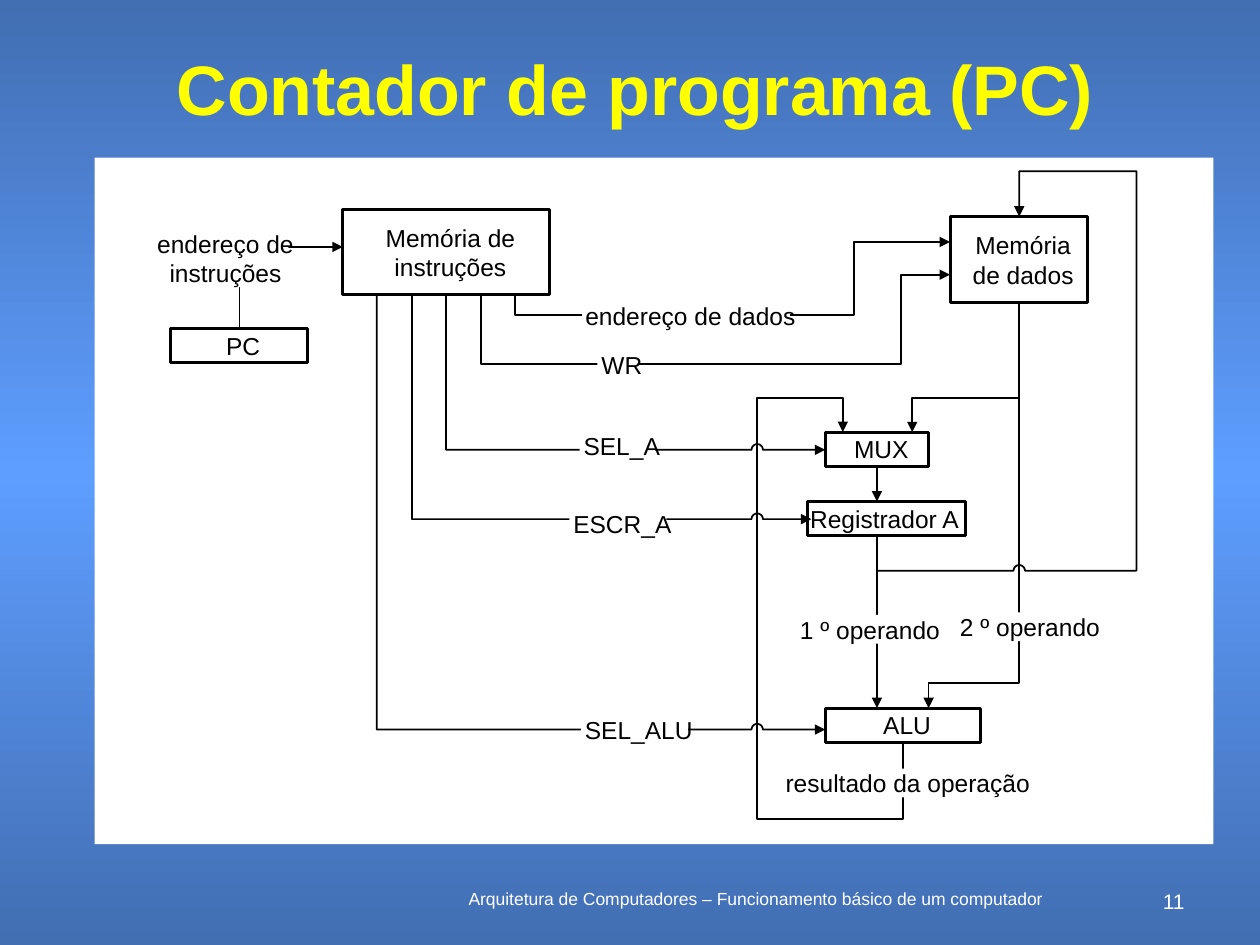
from copy import deepcopy
from math import cos, pi, sin

from pptx import Presentation
from pptx.dml.color import RGBColor
from pptx.enum.shapes import MSO_CONNECTOR, MSO_SHAPE
from pptx.enum.text import MSO_ANCHOR, PP_ALIGN
from pptx.oxml.ns import qn
from pptx.util import Inches, Pt
from lxml.etree import SubElement

COLORS = {"edge": "426EB2", "middle": "5E9EFF", "title": "FFFF00",
          "white": "FFFFFF", "black": "000000"}
RGB = {name: RGBColor.from_string(value) for name, value in COLORS.items()}


def write(shape, text, size=14, color="black", align=PP_ALIGN.CENTER,
          anchor=MSO_ANCHOR.MIDDLE, bold=False, wrap=False, spacing=None, margins=None):
    frame = shape.text_frame
    frame.text = text
    frame.word_wrap = wrap
    frame.vertical_anchor = anchor
    if margins:
        (frame.margin_left, frame.margin_top,
         frame.margin_right, frame.margin_bottom) = map(Inches, margins)
    for para in frame.paragraphs:
        para.alignment = align
        para.line_spacing = spacing
        para.font.name = "Arial"
        para.font.size = Pt(size)
        para.font.bold = bold
        para.font.color.rgb = RGB[color]


def hop(x, y, radius=0.045, steps=12):
    """Points of a half circle that carries a wire over a vertical one."""
    angles = [pi * (1 - step / steps) for step in range(steps + 1)]
    return [(x + radius * cos(angle), y - radius * sin(angle)) for angle in angles]


deck = Presentation()
deck.slide_width, deck.slide_height = Inches(10), Inches(7.5)
slide = deck.slides.add_slide(deck.slide_layouts[5])
shapes = slide.shapes

# Background
backdrop = slide.background.fill
backdrop.gradient()
backdrop.gradient_angle = 270
stop_list = slide.element.find(".//" + qn("a:gsLst"))
stop_list.append(deepcopy(stop_list[0]))
for stop, position, name in zip(backdrop.gradient_stops, (0, 0.5, 1),
                                ("edge", "middle", "edge")):
    stop.position = position
    stop.color.rgb = RGB[name]

# Title, footer and page number
title = shapes.title
title.left, title.top = Inches(0.75), Inches(0.42)
title.width, title.height = Inches(8.58), Inches(0.67)
write(title, "Contador de programa (PC)", size=40, color="title",
      bold=True, wrap=True, spacing=0.8)

footer = shapes.add_textbox(Inches(3.33), Inches(7), Inches(5.33), Inches(0.25))
write(footer, "Arquitetura de Computadores – Funcionamento básico de um computador",
      size=10, color="white", anchor=MSO_ANCHOR.TOP, wrap=True)
number = shapes.add_textbox(Inches(9.08), Inches(7), Inches(0.42), Inches(0.17))
write(number, "11", size=12, color="white", align=PP_ALIGN.RIGHT,
      anchor=MSO_ANCHOR.TOP, wrap=True)

# Diagram panel
panel = shapes.add_shape(MSO_SHAPE.RECTANGLE, Inches(0.75), Inches(1.25),
                         Inches(8.88), Inches(5.45))
panel.shadow.inherit = False
panel.fill.solid()
panel.fill.fore_color.rgb = RGB["white"]
panel.line.fill.background()

# Components: text, left, top, width, height, left margin, right margin
components = [
    ("Memória de\vinstruções", 2.72, 1.66, 1.64, 0.68, 0.07, 0),
    ("Memória\vde dados", 7.54, 1.72, 1.09, 0.68, 0.07, 0),
    ("PC", 1.35, 2.61, 1.09, 0.27, 0.07, 0),
    ("MUX", 6.55, 3.43, 0.82, 0.27, 0.07, 0),
    ("Registrador A", 6.41, 3.98, 1.25, 0.27, 0, 0.03),
    ("ALU", 6.55, 5.62, 1.23, 0.27, 0.07, 0),
]
for text, left, top, width, height, margin_left, margin_right in components:
    box = shapes.add_shape(MSO_SHAPE.RECTANGLE, Inches(left), Inches(top),
                           Inches(width), Inches(height))
    box.shadow.inherit = False
    box.fill.solid()
    box.fill.fore_color.rgb = RGB["white"]
    box.line.color.rgb = RGB["black"]
    box.line.width = Pt(1.75)
    write(box, text, margins=(margin_left, 0, margin_right, 0))

# Wires, each ending in an arrowhead
feedback_x, data_x, accumulator_x = 6.01, 8.09, 6.96
wires = [
    [(1.9, 2.61), (1.9, 1.96), (2.72, 1.96)],
    [(4.09, 2.34), (4.09, 2.5), (6.78, 2.5), (6.78, 1.92), (7.54, 1.92)],
    [(3.82, 2.34), (3.82, 2.89), (7.15, 2.89), (7.15, 2.18), (7.54, 2.18)],
    [(3.54, 2.34), (3.54, 3.57), *hop(feedback_x, 3.57), (6.55, 3.57)],
    [(3.27, 2.34), (3.27, 4.12), *hop(feedback_x, 4.12), (6.44, 4.12)],
    [(2.99, 2.34), (2.99, 5.79), *hop(feedback_x, 5.79), (6.55, 5.79)],
    [(7.17, 5.9), (7.17, 6.5), (feedback_x, 6.5), (feedback_x, 3.16),
     (6.69, 3.16), (6.69, 3.43)],
    [(data_x, 2.41), (data_x, 3.16), (7.24, 3.16), (7.24, 3.43)],
    [(data_x, 2.41), (data_x, 5.42), (7.37, 5.42), (7.37, 5.62)],
    [(accumulator_x, 3.71), (accumulator_x, 3.98)],
    [(accumulator_x, 4.26), (accumulator_x, 5.62)],
    [(accumulator_x, 4.26), (accumulator_x, 4.53), *hop(data_x, 4.53),
     (9.02, 4.53), (9.02, 1.36), (data_x, 1.36), (data_x, 1.72)],
]
for points in wires:
    start, *rest = [(Inches(x), Inches(y)) for x, y in points]
    if len(rest) == 1:
        wire = shapes.add_connector(MSO_CONNECTOR.STRAIGHT, *start, *rest[0])
        SubElement(wire.element.spPr, qn("a:effectLst"))
    else:
        builder = shapes.build_freeform(*start)
        builder.add_line_segments(rest, close=False)
        wire = builder.convert_to_shape()
        wire.shadow.inherit = False
        wire.fill.background()
    wire.line.color.rgb = RGB["black"]
    wire.line.width = Pt(1)
    SubElement(wire.element.spPr.find(qn("a:ln")), qn("a:tailEnd"),
               type="triangle", w="med", len="med")

# Signal names interrupt the wires: text, left, top, width, height of the gap
signals = [
    ("endereço de\vinstruções", 1.22, 1.82, 1.07, 0.46),
    ("endereço de dados", 4.62, 2.39, 1.65, 0.23),
    ("WR", 4.74, 2.78, 0.32, 0.23),
    ("SEL_A", 4.6, 3.42, 0.6, 0.23),
    ("ESCR_A", 4.52, 4.04, 0.77, 0.23),
    ("SEL_ALU", 4.61, 5.68, 0.85, 0.23),
    ("1 º operando", 6.32, 4.88, 1.1, 0.23),
    ("2 º operando", 7.59, 4.86, 1.1, 0.23),
    ("resultado da operação", 6.21, 6.1, 1.92, 0.23),
]
overhang = 0.2
for text, left, top, width, height in signals:
    gap = shapes.add_shape(MSO_SHAPE.RECTANGLE, Inches(left), Inches(top),
                           Inches(width), Inches(height))
    gap.shadow.inherit = False
    gap.fill.solid()
    gap.fill.fore_color.rgb = RGB["white"]
    gap.line.fill.background()
    label = shapes.add_textbox(Inches(left - overhang), Inches(top),
                               Inches(width + 2 * overhang), Inches(height))
    write(label, text, margins=(0.07, 0, 0, 0))

deck.save("out.pptx")
